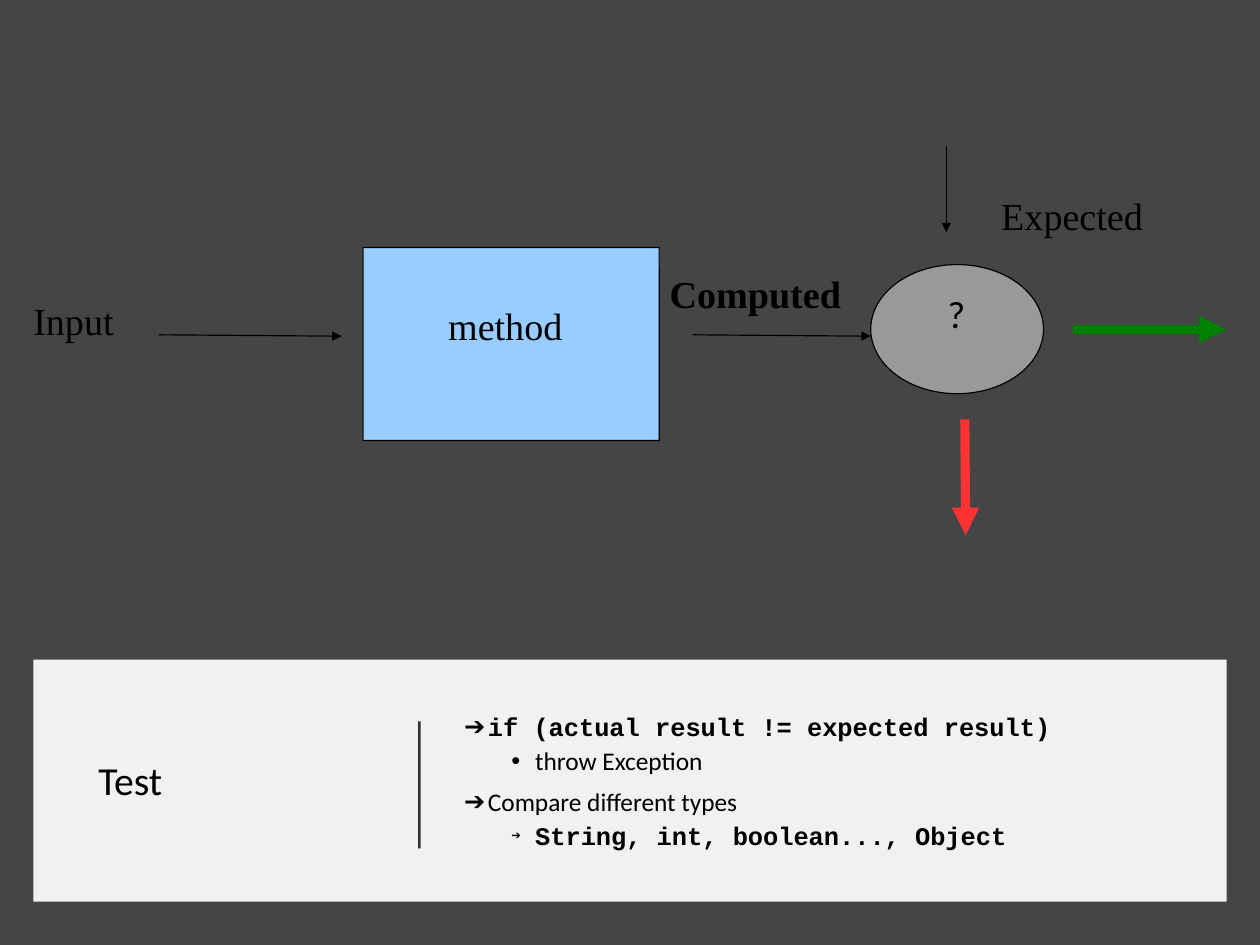
"""Build a slide that shows how a test compares computed and expected results."""
from lxml import etree
from pptx import Presentation
from pptx.dml.color import RGBColor
from pptx.enum.shapes import MSO_CONNECTOR, MSO_SHAPE
from pptx.enum.text import MSO_ANCHOR, MSO_AUTO_SIZE, PP_ALIGN
from pptx.oxml.ns import qn
from pptx.util import Cm, Pt

STRAIGHT = MSO_CONNECTOR.STRAIGHT
RECTANGLE, ROUNDED, OVAL = MSO_SHAPE.RECTANGLE, MSO_SHAPE.ROUNDED_RECTANGLE, MSO_SHAPE.OVAL
MIDDLE, LEFT, NO_FIT = MSO_ANCHOR.MIDDLE, PP_ALIGN.LEFT, MSO_AUTO_SIZE.NONE
COLORS = {
    "background": "454545", "panel": "FFFFFF", "ink": "000000", "method": "99CCFF",
    "check": "999999", "fail": "FF3333", "pass": "008000",
}


def color(name):
    return RGBColor.from_string(COLORS[name])


def write(paragraph, text, font_name, size, bold, spacing):
    run = paragraph.add_run()
    run.text = text
    for name, value in {"name": font_name, "size": Pt(size), "bold": bold}.items():
        setattr(run.font, name, value)
    run.font.color.rgb = color("ink")
    for name, value in {"alignment": LEFT, **spacing}.items():
        setattr(paragraph, name, value)


presentation = Presentation()
presentation.slide_width, presentation.slide_height = Cm(28), Cm(21)
slide = presentation.slides.add_slide(presentation.slide_layouts[1])
slide.background.fill.solid()
slide.background.fill.fore_color.rgb = color("background")
title, body = slide.placeholders

blocks = [
    (RECTANGLE, "panel", 0.74, 14.66, 26.52, 5.38),
    (ROUNDED, "method", 8.07, 5.5, 6.58, 4.29),
    (OVAL, "check", 19.35, 5.88, 3.84, 2.87),
]
for kind, name, left, top, width, height in blocks:
    shape = slide.shapes.add_shape(kind, Cm(left), Cm(top), Cm(width), Cm(height))
    shape.shadow.inherit = False
    shape.fill.solid()
    shape.fill.fore_color.rgb = color(name)
    if kind == RECTANGLE:
        shape.line.fill.background()
        fill_color = shape._element.spPr.find(".//" + qn("a:srgbClr"))
        etree.SubElement(fill_color, qn("a:alpha"), val="93000")
        slide.shapes._spTree.remove(shape._element)
        slide.shapes._spTree.insert(2, shape._element)
    else:
        shape.line.color.rgb = color("ink")
        shape.line.width = Pt(0.75)
    if kind == ROUNDED:
        shape.adjustments[0] = 0.001

lines = [
    ("ink", 1.5, False, 9.32, 18.85, 9.32, 16.03),
    ("ink", 0.75, True, 3.53, 7.44, 7.59, 7.47),
    ("ink", 0.75, True, 15.39, 7.44, 19.35, 7.47),
    ("ink", 0.75, True, 21.03, 3.25, 21.03, 5.16),
    ("fail", 5.75, True, 21.44, 9.32, 21.46, 11.89),
    ("pass", 5.75, True, 23.85, 7.32, 27.25, 7.32),
]
for name, width, has_arrow, *ends in lines:
    connector = slide.shapes.add_connector(STRAIGHT, *map(Cm, ends))
    connector.line.color.rgb = color(name)
    connector.line.width = Pt(width)
    properties = connector._element.spPr
    if has_arrow:
        etree.SubElement(properties.find(qn("a:ln")), qn("a:tailEnd"), type="triangle")
    else:
        line_color = properties.find(".//" + qn("a:srgbClr"))
        etree.SubElement(line_color, qn("a:alpha"), val="80000")
    etree.SubElement(properties, qn("a:effectLst"))

labels = [
    ("?", "Calibri", False, 21.06, 6.5, 0.46),
    ("method", "Times New Roman", False, 9.96, 6.78, 3.25),
    ("Expected", "Times New Roman", False, 22.25, 4.32, 3.99),
    ("Computed", "Times New Roman", True, 14.88, 6.07, 3.84),
    ("Input", "Times New Roman", False, 0.74, 6.65, 2.31),
]
label_format = {"margin_left": 0, "margin_right": 0, "margin_top": 0, "margin_bottom": 0, "word_wrap": True}
for text, font_name, bold, left, top, width in labels:
    frame = slide.shapes.add_textbox(Cm(left), Cm(top), Cm(width), Cm(0.99)).text_frame
    for name, value in label_format.items():
        setattr(frame, name, value)
    write(frame.paragraphs[0], text, font_name, 24, bold, {"line_spacing": 0.98, "space_after": Pt(6)})

for placeholder, left, width in [(title, 1.93, 6.63), (body, 10.06, 16.03)]:
    position = {"left": Cm(left), "top": Cm(15.34), "width": Cm(width), "height": Cm(4.11)}
    for name, value in position.items():
        setattr(placeholder, name, value)
    placeholder.text_frame.vertical_anchor = MIDDLE
    placeholder.text_frame.auto_size = NO_FIT
write(title.text_frame.paragraphs[0], "Test", "Calibri", 25, False, {"line_spacing": 0.9})

items = [
    ("if (actual result != expected result)", "Courier New", True, 0, "➔", 100),
    ("throw Exception", "Calibri", False, 1, "•", 100),
    ("Compare different types", "Calibri", False, 0, "➔", 100),
    ("String, int, boolean..., Object", "Courier New", True, 1, "➔", 45),
]
for index, (text, font_name, bold, level, bullet, bullet_size) in enumerate(items):
    paragraph = body.text_frame.add_paragraph() if index else body.text_frame.paragraphs[0]
    spacing = {"level": level, "line_spacing": 0.9, "space_before": Pt((8.3, 4.1)[level])}
    write(paragraph, text, font_name, 16, bold, spacing)
    properties = paragraph._p.get_or_add_pPr()
    properties.set("marL", str(Cm((0.53, 1.58)[level])))
    properties.set("indent", str(-Cm(0.53)))
    etree.SubElement(properties, qn("a:buSzPct"), val=str(bullet_size * 1000))
    etree.SubElement(properties, qn("a:buChar"), char=bullet)

presentation.save("out.pptx")
